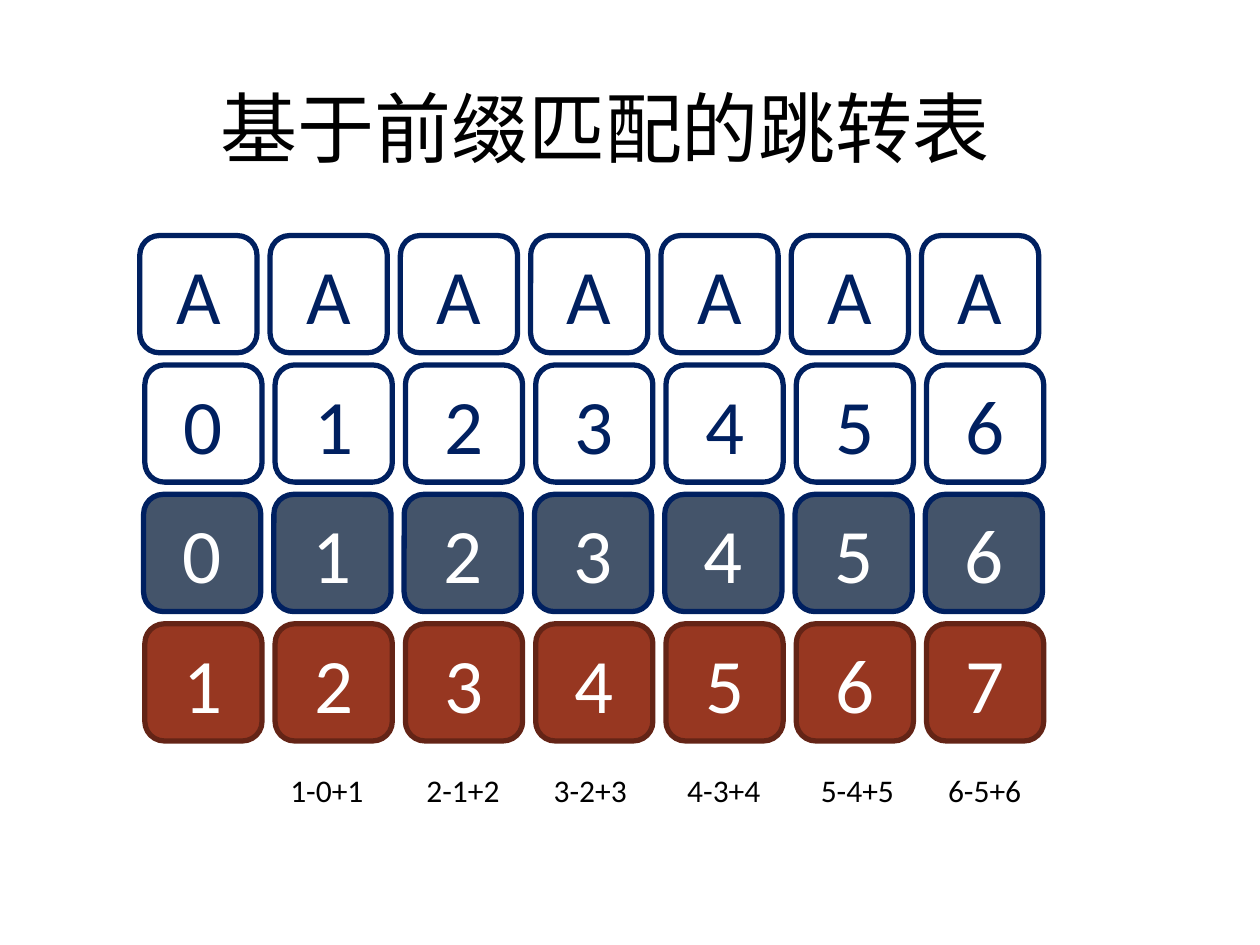
"""Build a slide showing the jump table derived from prefix matching."""
import pptx
import pptx.dml.color
import pptx.enum.shapes
import pptx.enum.text
import pptx.util

COLORS = {
    "white": "FFFFFF",
    "black": "000000",
    "navy": "002060",
    "slate": "44546A",
    "brick": "973721",
    "maroon": "642416",
}
LATIN_FONT = "Calibri"
TITLE_FONT = "Noto Sans CJK JP"
SLIDE_WIDTH, SLIDE_HEIGHT = 10, 7.5
COLUMNS = 7
COLUMN_PITCH, ROW_PITCH = 1.034, 1.027
CELL_SIZE = 0.93
TABLE_TOP = 1.87
FORMULA_WIDTH, FORMULA_HEIGHT = 1.03, 0.4


def color(name):
    """Return the named palette colour."""
    return pptx.dml.color.RGBColor.from_string(COLORS[name])


def inches(*lengths):
    """Convert lengths in inches to slide units."""
    return [pptx.util.Inches(length) for length in lengths]


def write(frame, text, size, ink, font=LATIN_FONT):
    """Put one centred, formatted line of text in a frame."""
    frame.text = text
    paragraph = frame.paragraphs[0]
    paragraph.alignment = pptx.enum.text.PP_ALIGN.CENTER
    run_font = paragraph.runs[0].font
    run_font.name = font
    run_font.size = pptx.util.Pt(size)
    run_font.color.rgb = color(ink)
    return paragraph


def place_title(slide, box, text):
    """Move the title placeholder into the box and format it."""
    title = slide.shapes.title
    title.left, title.top, title.width, title.height = inches(*box)
    frame = title.text_frame
    frame.word_wrap = True
    frame.auto_size = pptx.enum.text.MSO_AUTO_SIZE.NONE
    frame.vertical_anchor = pptx.enum.text.MSO_ANCHOR.TOP
    paragraph = write(frame, text, 44, "black", TITLE_FONT)
    paragraph.line_spacing = 0.9
    paragraph.space_before = pptx.util.Pt(0)


def place_cell_row(slide, box, values, fill, border, ink):
    """Draw a row of rounded cells, one per value, across the box."""
    left, top, width, height = box
    pitch = (width - height) / (len(values) - 1)
    for column, value in enumerate(values):
        cell = slide.shapes.add_shape(
            pptx.enum.shapes.MSO_SHAPE.ROUNDED_RECTANGLE,
            *inches(left + column * pitch, top, height, height),
        )
        cell.shadow.inherit = False
        cell.fill.solid()
        cell.fill.fore_color.rgb = color(fill)
        cell.line.color.rgb = color(border)
        cell.line.width = pptx.util.Pt(3)
        cell.text_frame.vertical_anchor = pptx.enum.text.MSO_ANCHOR.MIDDLE
        write(cell.text_frame, str(value), 44, ink)


def place_formulas(slide, box, offsets):
    """Write the jump formula of each position at its offset in the box."""
    left, top, width, height = box
    for position, offset in enumerate(offsets, start=1):
        formula = slide.shapes.add_textbox(
            *inches(left + offset, top, FORMULA_WIDTH, height)
        )
        formula.text_frame.word_wrap = True
        write(formula.text_frame, f"{position}-{position - 1}+{position}", 18, "black")


def main():
    """Build and save the presentation."""
    presentation = pptx.Presentation()
    presentation.slide_width, presentation.slide_height = inches(
        SLIDE_WIDTH, SLIDE_HEIGHT
    )
    slide = presentation.slides.add_slide(presentation.slide_layouts[5])
    place_title(slide, (0.56, 0.67, 8.49, 1.06), "基于前缀匹配的跳转表")

    row_width = (COLUMNS - 1) * COLUMN_PITCH + CELL_SIZE
    rows = [
        (1.11, "A" * COLUMNS, "white", "navy", "navy"),
        (1.15, range(COLUMNS), "white", "navy", "navy"),
        (1.14, range(COLUMNS), "slate", "navy", "white"),
        (1.15, range(1, COLUMNS + 1), "brick", "maroon", "white"),
    ]
    for index, (left, *style) in enumerate(rows):
        top = TABLE_TOP + index * ROW_PITCH
        place_cell_row(slide, (left, top, row_width, CELL_SIZE), *style)

    offsets = (0, 1.08, 2.09, 3.15, 4.21, 5.22)
    formula_box = (2.08, 6.07, offsets[-1] + FORMULA_WIDTH, FORMULA_HEIGHT)
    place_formulas(slide, formula_box, offsets)
    presentation.save("out.pptx")


if __name__ == "__main__":
    main()
